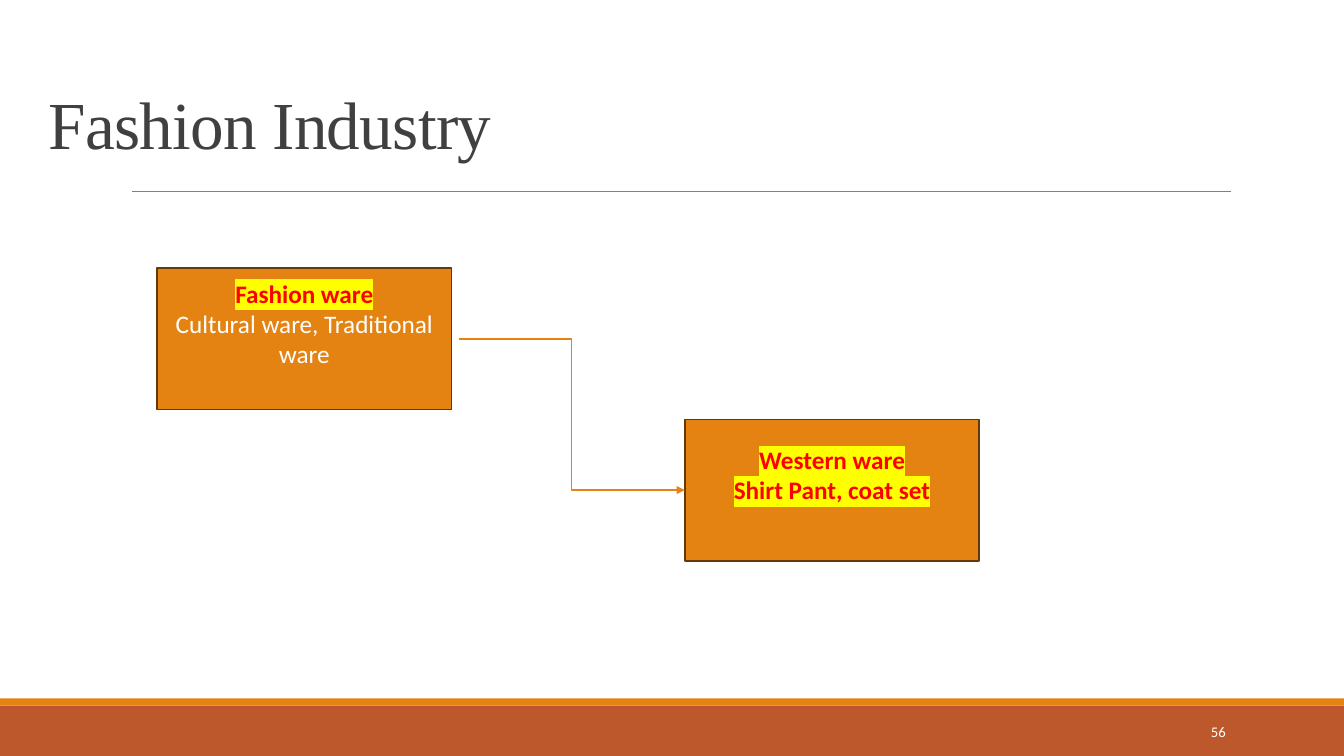
"""Build the Fashion Industry slide with two linked boxes."""
from lxml import etree
from pptx import Presentation
from pptx.dml.color import RGBColor
from pptx.enum.shapes import MSO_CONNECTOR, MSO_SHAPE
from pptx.enum.text import MSO_ANCHOR, MSO_AUTO_SIZE, PP_ALIGN
from pptx.oxml.ns import qn
from pptx.util import Cm, Pt

RECTANGLE = MSO_SHAPE.RECTANGLE
STRAIGHT, ELBOW = MSO_CONNECTOR.STRAIGHT, MSO_CONNECTOR.ELBOW
LEFT, CENTER, RIGHT = PP_ALIGN.LEFT, PP_ALIGN.CENTER, PP_ALIGN.RIGHT
MIDDLE, BOTTOM = MSO_ANCHOR.MIDDLE, MSO_ANCHOR.BOTTOM
NO_AUTOFIT = MSO_AUTO_SIZE.NONE
COLORS = {
    "orange": "E48312", "rust": "BD582C", "brown": "643908", "gray": "808080",
    "title": "404040", "white": "FFFFFF", "red": "FF0000", "yellow": "FFFF00",
}


def add_span(para, text, size, color, font="Calibri", bold=False):
    span = para.add_run()
    span.text = text
    span.font.size = Pt(size)
    span.font.name = font
    span.font.bold = bold
    span.font.color.rgb = RGBColor.from_string(COLORS[color])
    return span


def add_line(kind, start_x, start_y, end_x, end_y, color, width):
    line = page.shapes.add_connector(kind, Cm(start_x), Cm(start_y), Cm(end_x), Cm(end_y))
    line.line.color.rgb = RGBColor.from_string(COLORS[color])
    line.line.width = Pt(width)
    etree.SubElement(line._element.spPr, qn("a:effectLst"))
    return line


deck = Presentation()
deck.slide_width, deck.slide_height = Cm(33.87), Cm(19.05)
page = deck.slides.add_slide(deck.slide_layouts[5])

for top, height, color in [(17.78, 1.27, "rust"), (17.6, 0.18, "orange")]:
    band = page.shapes.add_shape(RECTANGLE, 0, Cm(top), deck.slide_width, Cm(height))
    band.shadow.inherit = False
    band.fill.solid()
    band.fill.fore_color.rgb = RGBColor.from_string(COLORS[color])
    band.line.fill.background()

add_line(STRAIGHT, 3.33, 4.82, 31.01, 4.82, "gray", 0.5)

title = page.shapes.title
title.left, title.top, title.width, title.height = Cm(0.97), Cm(0.2), Cm(27.94), Cm(4.04)
title.text_frame.auto_size = NO_AUTOFIT
title.text_frame.vertical_anchor = BOTTOM
para = title.text_frame.paragraphs[0]
para.alignment = LEFT
para.line_spacing = 0.85
span = add_span(para, "Fashion Industry", 48, "title", "Times New Roman")
span.font._element.set("spc", "-50")

number = page.shapes.add_textbox(Cm(27.51), Cm(17.93), Cm(3.63), Cm(1.02))
number.text_frame.word_wrap = True
number.text_frame.vertical_anchor = MIDDLE
para = number.text_frame.paragraphs[0]
para.alignment = RIGHT
add_span(para, "56", 10.5, "white")

BOX_WIDTH, BOX_HEIGHT = 7.42, 3.56
boxes = [
    (3.96, 6.76, [("Fashion ware", True), ("Cultural ware, Traditional ware", False)]),
    (17.26, 10.57, [("Western ware", True), ("Shirt Pant, coat set", True)]),
]
for left, top, lines in boxes:
    box = page.shapes.add_shape(RECTANGLE, Cm(left), Cm(top), Cm(BOX_WIDTH), Cm(BOX_HEIGHT))
    box.shadow.inherit = False
    box.fill.solid()
    box.fill.fore_color.rgb = RGBColor.from_string(COLORS["orange"])
    box.line.color.rgb = RGBColor.from_string(COLORS["brown"])
    box.line.width = Pt(1.25)
    frame = box.text_frame
    frame.word_wrap = True
    frame.vertical_anchor = MIDDLE
    frame.margin_bottom = Cm(0.9)
    for index, (text, marked) in enumerate(lines):
        para = frame.add_paragraph() if index else frame.paragraphs[0]
        para.alignment = CENTER
        span = add_span(para, text, 18, "red" if marked else "white", bold=marked)
        if marked:
            highlight = etree.Element(qn("a:highlight"))
            etree.SubElement(highlight, qn("a:srgbClr"), val=COLORS["yellow"])
            span.font._element.find(qn("a:solidFill")).addnext(highlight)

start_y, end_y = [top + BOX_HEIGHT / 2 for left, top, lines in boxes]
arrow = add_line(ELBOW, 11.56, start_y, boxes[1][0], end_y, "orange", 1)
etree.SubElement(arrow.line._get_or_add_ln(), qn("a:tailEnd"), type="triangle")

deck.save("out.pptx")
